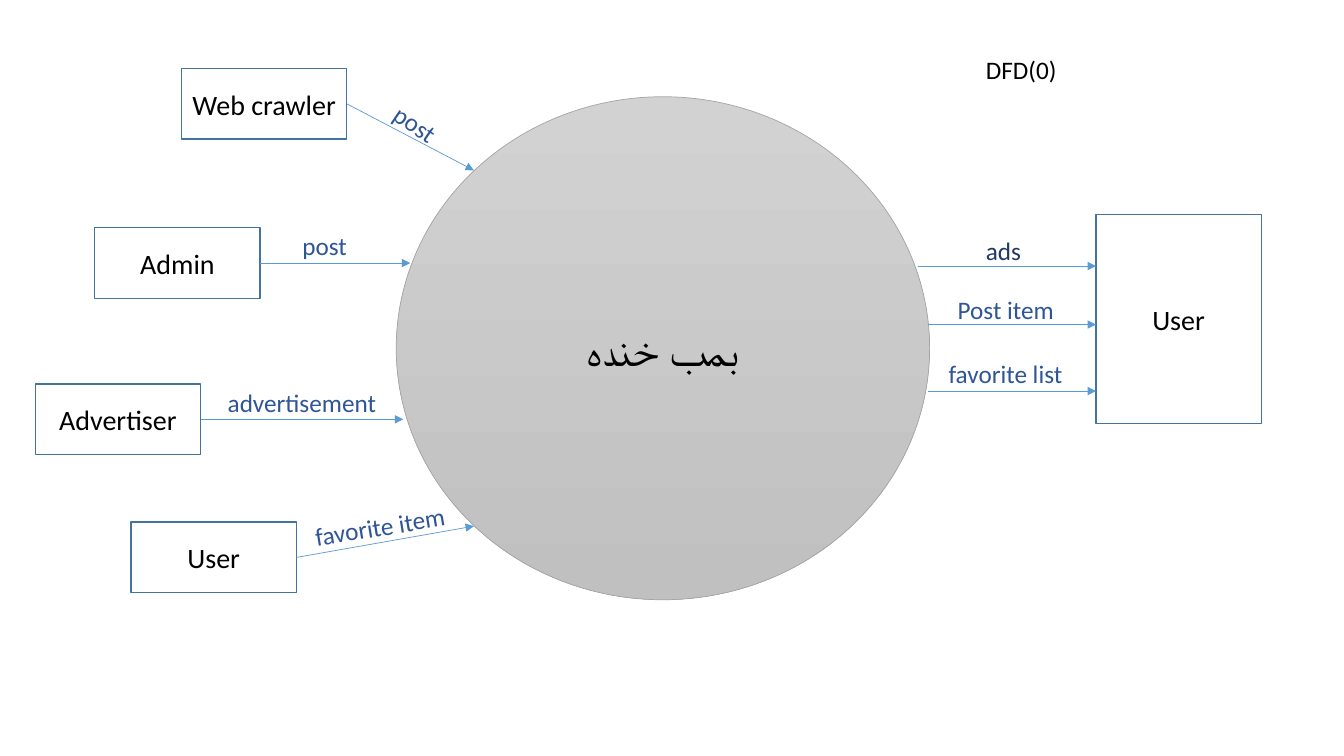
from pptx import Presentation
from pptx.dml.color import RGBColor
from pptx.enum.shapes import MSO_CONNECTOR, MSO_SHAPE
from pptx.enum.text import MSO_ANCHOR, PP_ALIGN
from pptx.oxml import parse_xml
from pptx.oxml.ns import nsdecls
from pptx.util import Inches, Pt

RECT, OVAL = MSO_SHAPE.RECTANGLE, MSO_SHAPE.OVAL
STRAIGHT = MSO_CONNECTOR.STRAIGHT
MIDDLE, TOP = MSO_ANCHOR.MIDDLE, MSO_ANCHOR.TOP
CENTER, LEFT = PP_ALIGN.CENTER, PP_ALIGN.LEFT
RIGHT_SIDE = 3

# Content
FONT = "Calibri"
BLACK, WHITE, BOX_EDGE, ARROW = "000000", "FFFFFF", "43739E", "5B9BD5"
FLOW, ADS_FLOW = "2F5597", "203864"
GREYS, SYSTEM_EDGE = ("D2D2D2", "C0C0C0"), "A5A5A5"
BOX_W, BOX_H, LABEL_H = 1.64, 0.7, 0.4

SYSTEM = ("بمب خنده", 3.93, 0.96, 5.29, 4.99)
TITLE = ("DFD(0)", 9.68, 0.49, 1.0)
# source, left, top, arrow tip, (label, left, top, width, rotation)
INPUTS = [
    ("Web crawler", 1.8, 0.68, (4.7, 1.69), ("post", 3.8, 1.03, 0.65, 34.4)),
    ("Admin", 0.94, 2.26, (4.07, 2.61), ("post", 2.9, 2.24, 0.65, 0)),
    ("Advertiser", 0.35, 3.81, (4.0, 4.16),
     ("advertisement", 2.16, 3.79, 1.69, 0)),
    ("User", 1.3, 5.18, (4.7, 5.22), ("favorite item", 3.02, 5.02, 1.51, 350.8)),
]
READER = ("User", 10.87, 2.13, BOX_W, 2.07)
# arrow start, height, (label, left, top, width), colour
OUTPUTS = [
    (9.1, 2.64, ("ads", 9.68, 2.29, 0.55), ADS_FLOW),
    (9.2, 3.22, ("Post item", 9.4, 2.87, 1.16), FLOW),
    (9.2, 3.88, ("favorite list", 9.31, 3.51, 1.34), FLOW),
]

prs = Presentation()
prs.slide_width, prs.slide_height = Inches(13.33), Inches(7.5)
slide = prs.slides.add_slide(prs.slide_layouts[6])


def color(hex_code):
    return RGBColor.from_string(hex_code)


def write(shape, text, size, hex_code, align, anchor, wrap):
    frame = shape.text_frame
    frame.word_wrap, frame.vertical_anchor = wrap, anchor
    paragraph = frame.paragraphs[0]
    paragraph.alignment = align
    run = paragraph.add_run()
    run.text = text
    for name, value in {"name": FONT, "size": Pt(size)}.items():
        setattr(run.font, name, value)
    run.font.color.rgb = color(hex_code)


def node(kind, text, left, top, width, height, size, edge, edge_width):
    shape = slide.shapes.add_shape(kind, *map(Inches, (left, top, width, height)))
    shape.shadow.inherit = False
    shape.fill.solid()
    shape.fill.fore_color.rgb = color(WHITE)
    shape.line.color.rgb = color(edge)
    shape.line.width = Pt(edge_width)
    write(shape, text, size, BLACK, CENTER, MIDDLE, True)
    return shape


def label(text, left, top, width, rotation=0, hex_code=FLOW, wrap=False):
    box = slide.shapes.add_textbox(*map(Inches, (left, top, width, LABEL_H)))
    box.rotation = rotation
    write(box, text, 18, hex_code, LEFT, TOP, wrap)


def arrow(start, tip):
    line = slide.shapes.add_connector(STRAIGHT, *map(Inches, (*start, *tip)))
    line.line.color.rgb = color(ARROW)
    line.line.width = Pt(0.5)
    line.line._get_or_add_ln().append(
        parse_xml(f'<a:tailEnd {nsdecls("a")} type="triangle"/>'))
    line._element.spPr.append(parse_xml(f'<a:effectLst {nsdecls("a")}/>'))
    return line


# Central system
system = node(OVAL, *SYSTEM, 32, SYSTEM_EDGE, 0.5)
system.fill.gradient()
system.fill.gradient_angle = 270
for stop, grey in zip(system.fill.gradient_stops, GREYS):
    stop.color.rgb = color(grey)

# Inputs on the left
for source, left, top, tip, flow in INPUTS:
    box = node(RECT, source, left, top, BOX_W, BOX_H, 20, BOX_EDGE, 1)
    arrow((left + BOX_W, top + BOX_H / 2), tip).begin_connect(box, RIGHT_SIDE)
    label(*flow)

# Outputs on the right
node(RECT, *READER, 20, BOX_EDGE, 1)
for start, height, flow, hex_code in OUTPUTS:
    arrow((start, height), (READER[1], height))
    label(*flow, hex_code=hex_code)

# Diagram title
label(*TITLE, hex_code=BLACK, wrap=True)

prs.save("out.pptx")
